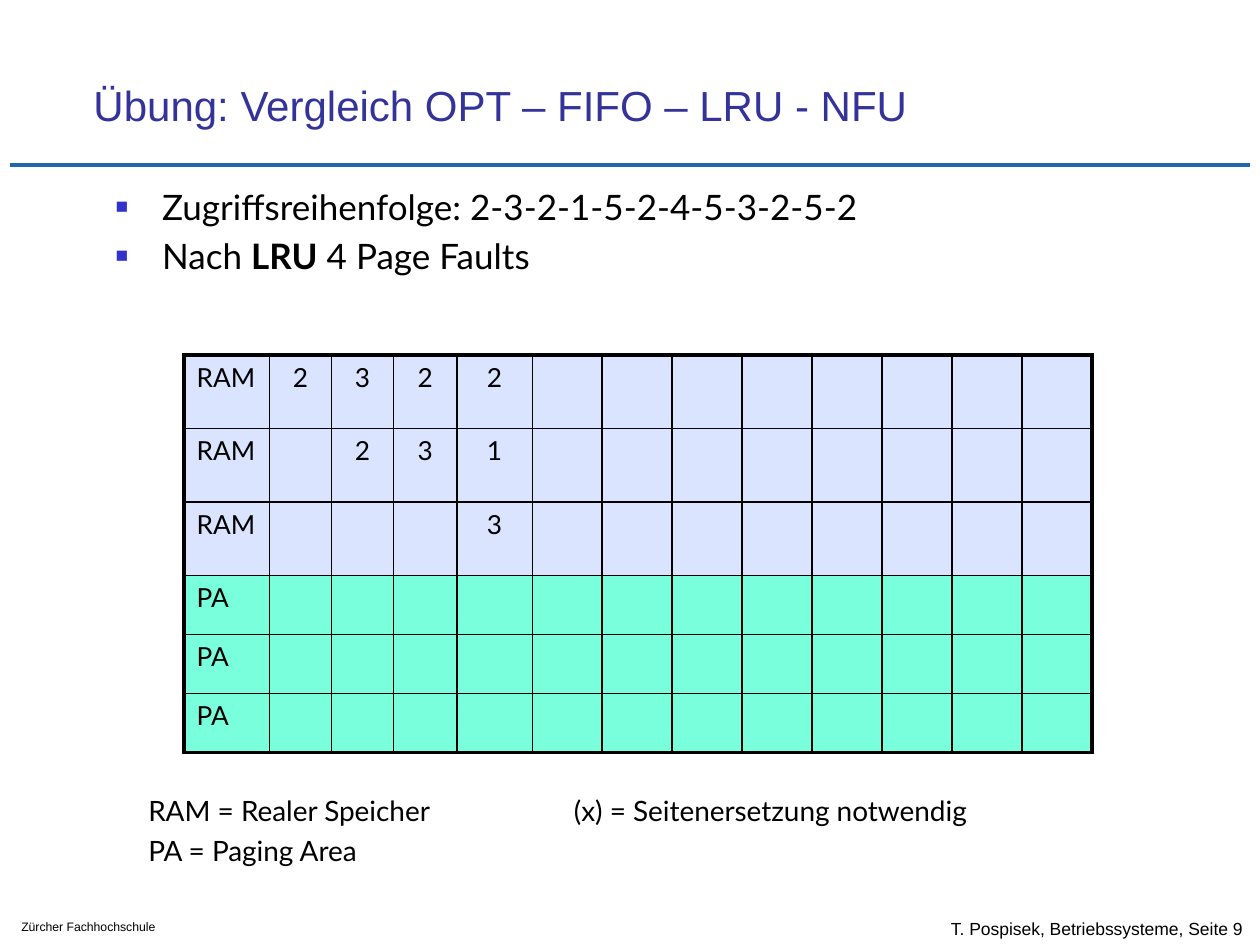
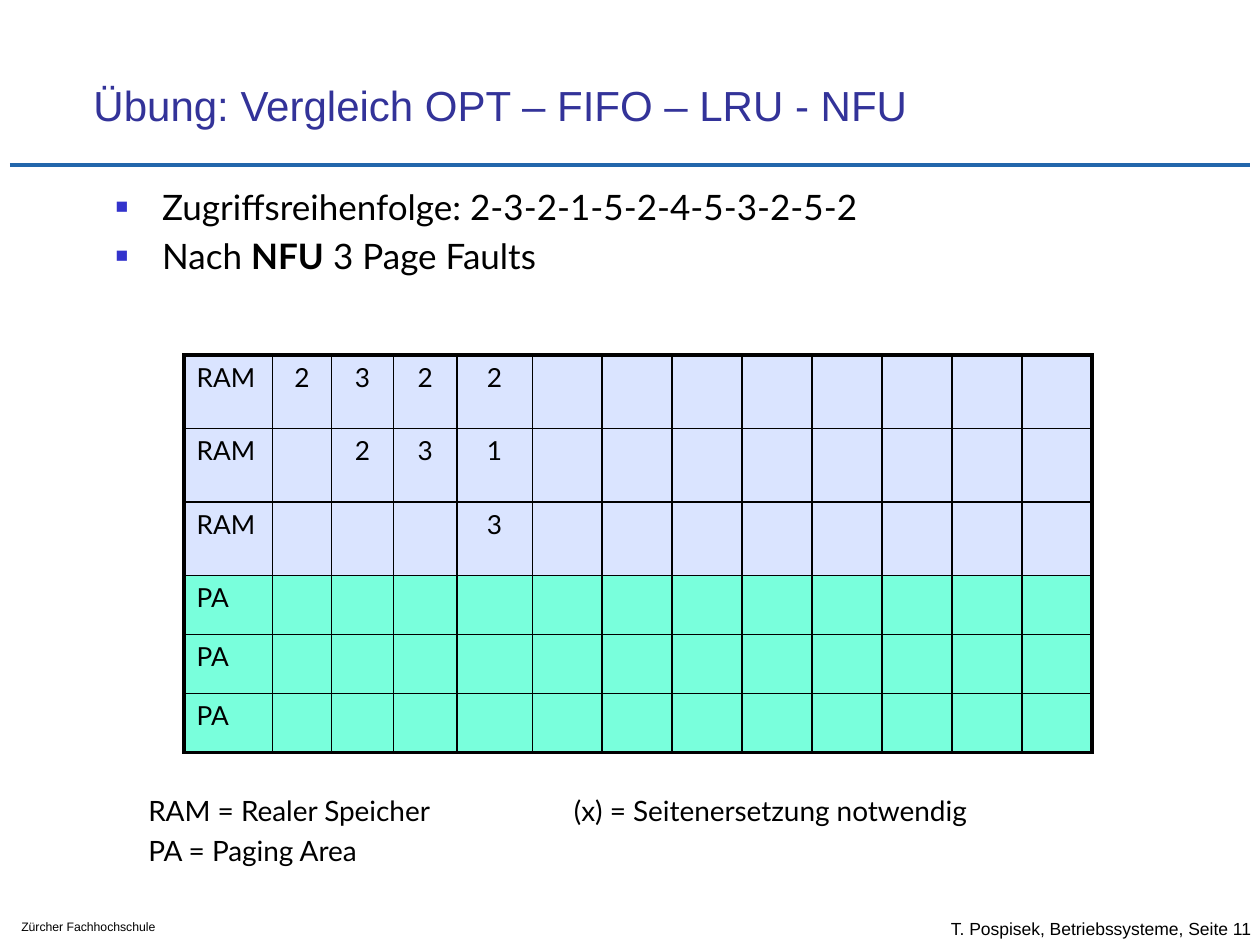
from dataclasses import dataclass

from lxml.etree import SubElement
from pptx import Presentation
from pptx.dml.color import RGBColor
from pptx.enum.shapes import MSO_CONNECTOR
from pptx.enum.text import MSO_ANCHOR as Anchor, MSO_AUTO_SIZE as AutoSize, PP_ALIGN as Align
from pptx.oxml.ns import qn
from pptx.util import Cm, Pt

TITLE = "Übung: Vergleich OPT – FIFO – LRU - NFU"
ACCESS_ORDER = "Zugriffsreihenfolge: 2-3-2-1-5-2-4-5-3-2-5-2"
SCHOOL = "Zürcher Fachhochschule"
PAGE_LABEL = "T. Pospisek, Betriebssysteme, Seite {}"
LEGEND = ["RAM = Realer Speicher\t(x) = Seitenersetzung notwendig", "PA = Paging Area"]

# Row label followed by the pages held after each access
MEMORY_ROWS = [
    ("RAM", "2", "3", "2", "2"),
    ("RAM", "", "2", "3", "1"),
    ("RAM", "", "", "", "3"),
    ("PA",),
    ("PA",),
    ("PA",),
]
EXERCISES = [
    {"method": "LRU", "faults": 4, "page": 9, "first_columns": (1.72, 1.25)},
    {"method": "NFU", "faults": 3, "page": 11, "first_columns": (1.78, 1.19)},
]
OTHER_COLUMNS = (1.25, 1.28, 1.52) + (1.41,) * 8
ROW_HEIGHTS = {"RAM": 1.48, "PA": 1.19}


@dataclass(frozen=True)
class Theme:
    heading_font: str = "Arial"
    body_font: str = "Lato"
    title_color: str = "333399"
    text_color: str = "000000"
    rule_color: str = "2266AB"
    bullet_color: str = "3333CC"
    ram_fill: str = "DAE4FF"
    pa_fill: str = "79FFDC"
    title_size: float = 24
    body_size: float = 20
    legend_size: float = 16
    cell_size: float = 15
    page_size: float = 10
    school_size: float = 7
    outer_border: float = 2.21
    inner_border: float = 0.96


THEME = Theme()
ROW_FILLS = {"RAM": THEME.ram_fill, "PA": THEME.pa_fill}


def set_all(target, values):
    for name, value in values.items():
        setattr(target, name, value)


def add_run(paragraph, text, size, font=THEME.body_font, color=THEME.text_color, bold=False):
    run = paragraph.add_run()
    run.text = text
    set_all(run.font, {"name": font, "size": Pt(size), "bold": bold})
    run.font.color.rgb = RGBColor.from_string(color)


def add_text_box(slide, left, top, width, height, anchor=Anchor.TOP):
    box = slide.shapes.add_textbox(Cm(left), Cm(top), Cm(width), Cm(height))
    set_all(box.text_frame, {"word_wrap": True, "vertical_anchor": anchor})
    return box.text_frame


def next_paragraph(frame, index, space_before):
    """Return the paragraph at index, with a gap above all but the first."""
    if index == 0:
        return frame.paragraphs[0]
    paragraph = frame.add_paragraph()
    paragraph.space_before = Pt(space_before)
    return paragraph


def add_bullet(paragraph):
    properties = paragraph._p.get_or_add_pPr()
    set_all_xml = {"marL": str(Cm(0.96)), "indent": str(-Cm(0.94))}
    for name, value in set_all_xml.items():
        properties.set(name, value)
    color = SubElement(properties, qn("a:buClr"))
    SubElement(color, qn("a:srgbClr"), val=THEME.bullet_color)
    SubElement(properties, qn("a:buSzPct"), val="60000")
    SubElement(properties, qn("a:buFont"), typeface=THEME.heading_font)
    SubElement(properties, qn("a:buChar"), char="■")


def add_title(slide):
    title = slide.shapes.title
    set_all(title, {"left": Cm(1.63), "top": Cm(0.84), "width": Cm(21.64), "height": Cm(1.9)})
    frame = title.text_frame
    set_all(frame, {"vertical_anchor": Anchor.BOTTOM, "auto_size": AutoSize.NONE})
    frame.paragraphs[0].alignment = Align.LEFT
    add_run(frame.paragraphs[0], TITLE, THEME.title_size, THEME.heading_font, THEME.title_color)


def add_frame(slide, page):
    """Draw the rule under the title and the two footers."""
    rule = slide.shapes.add_connector(MSO_CONNECTOR.STRAIGHT, Cm(0.2), Cm(3.32), Cm(25.2), Cm(3.32))
    rule.line.color.rgb = RGBColor.from_string(THEME.rule_color)
    rule.line.width = Pt(2.5)
    SubElement(rule._element.spPr, qn("a:effectLst"))

    page_frame = add_text_box(slide, 18.92, 18.29, 8.71, 0.84, Anchor.MIDDLE)
    add_run(page_frame.paragraphs[0], PAGE_LABEL.format(page), THEME.page_size, THEME.heading_font)
    school_frame = add_text_box(slide, 0.18, 18.41, 4.37, 0.56)
    add_run(school_frame.paragraphs[0], SCHOOL, THEME.school_size, THEME.heading_font)


def add_task(slide, method, faults):
    frame = add_text_box(slide, 2.06, 3.61, 21.23, 2.74)
    lines = [
        [(ACCESS_ORDER, False)],
        [("Nach ", False), (method, True), (f" {faults} Page Faults", False)],
    ]
    for index, line in enumerate(lines):
        paragraph = next_paragraph(frame, index, 4)
        add_bullet(paragraph)
        for text, bold in line:
            add_run(paragraph, text, THEME.body_size, bold=bold)


def add_legend(slide):
    frame = add_text_box(slide, 2.74, 15.88, 20.32, 1.7)
    for index, text in enumerate(LEGEND):
        paragraph = next_paragraph(frame, index, 3.2)
        if "\t" in text:
            tabs = SubElement(paragraph._p.get_or_add_pPr(), qn("a:tabLst"))
            SubElement(tabs, qn("a:tab"), pos=str(Cm(8.58)), algn="l")
        add_run(paragraph, text, THEME.legend_size)


def set_borders(cell, outer_sides):
    properties = cell._tc.get_or_add_tcPr()
    for side in "LRTB":
        width = THEME.outer_border if side in outer_sides else THEME.inner_border
        line = SubElement(properties, qn(f"a:ln{side}"), w=str(Pt(width)))
        fill = SubElement(line, qn("a:solidFill"))
        SubElement(fill, qn("a:srgbClr"), val=THEME.text_color)


def add_memory_table(slide, first_columns):
    widths = first_columns + OTHER_COLUMNS
    heights = [ROW_HEIGHTS[row[0]] for row in MEMORY_ROWS]
    table = slide.shapes.add_table(
        len(heights), len(widths), Cm(3.71), Cm(7.16), Cm(sum(widths)), Cm(sum(heights))
    ).table
    set_all(table, {"first_row": False, "horz_banding": False})
    for column, width in zip(table.columns, widths):
        column.width = Cm(width)

    last_row, last_column = len(heights) - 1, len(widths) - 1
    for row_index, values in enumerate(MEMORY_ROWS):
        table.rows[row_index].height = Cm(heights[row_index])
        for column_index in range(len(widths)):
            cell = table.cell(row_index, column_index)
            edges = {
                "L": column_index == 0,
                "R": column_index == last_column,
                "T": row_index == 0,
                "B": row_index == last_row,
            }
            set_borders(cell, [side for side, is_outer in edges.items() if is_outer])
            cell.fill.solid()
            cell.fill.fore_color.rgb = RGBColor.from_string(ROW_FILLS[values[0]])
            if column_index < len(values) and values[column_index]:
                paragraph = cell.text_frame.paragraphs[0]
                paragraph.alignment = Align.CENTER if column_index else Align.LEFT
                add_run(paragraph, values[column_index], THEME.cell_size)


def main():
    presentation = Presentation()
    set_all(presentation, {"slide_width": Cm(25.4), "slide_height": Cm(19.05)})
    title_only = presentation.slide_layouts[5]
    for exercise in EXERCISES:
        slide = presentation.slides.add_slide(title_only)
        add_frame(slide, exercise["page"])
        add_title(slide)
        add_task(slide, exercise["method"], exercise["faults"])
        add_legend(slide)
        add_memory_table(slide, exercise["first_columns"])
    presentation.save("out.pptx")


if __name__ == "__main__":
    main()
